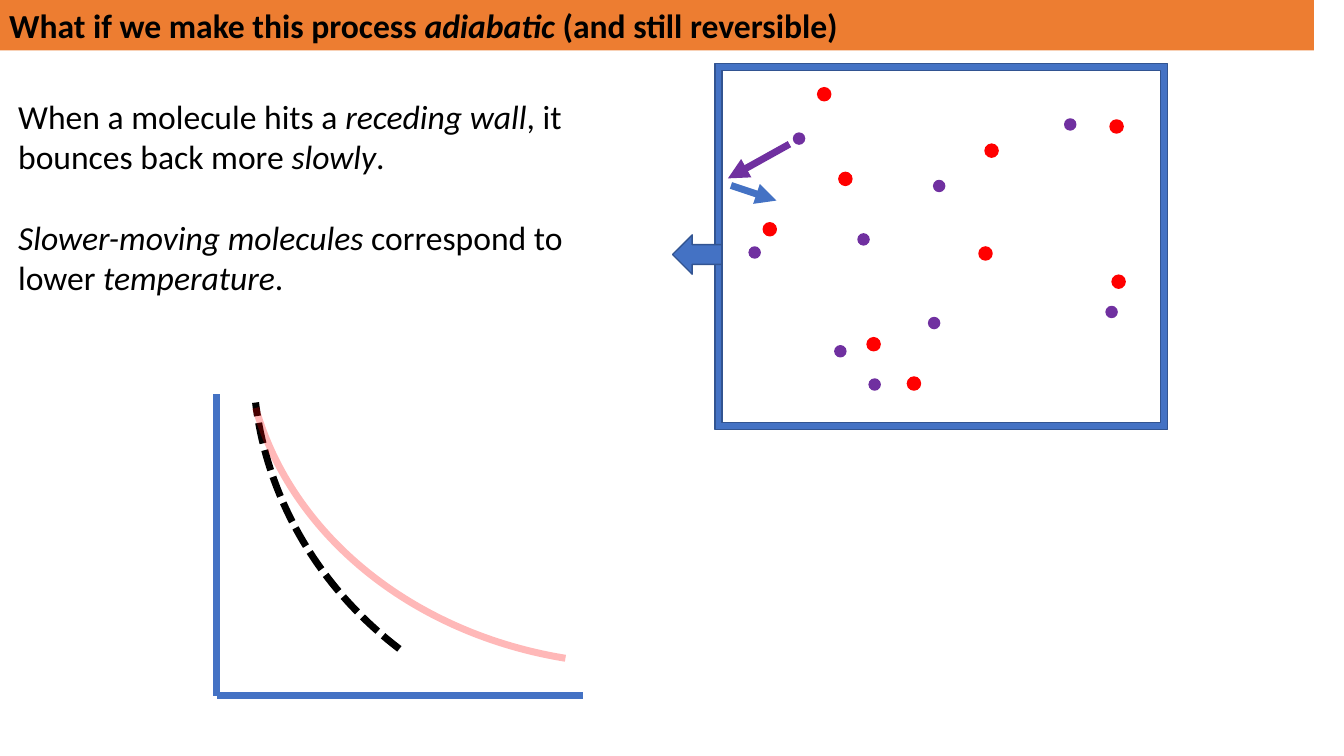
from lxml import etree
from pptx import Presentation
from pptx.dml.color import RGBColor
from pptx.enum.dml import MSO_LINE
from pptx.enum.shapes import MSO_CONNECTOR, MSO_SHAPE
from pptx.enum.text import MSO_ANCHOR, MSO_AUTO_SIZE, PP_ALIGN
from pptx.oxml.ns import qn
from pptx.util import Inches, Pt

STRAIGHT = MSO_CONNECTOR.STRAIGHT
ARC, ELLIPSE = MSO_SHAPE.ARC, MSO_SHAPE.OVAL
FRAME, LEFT_ARROW = MSO_SHAPE.FRAME, MSO_SHAPE.LEFT_ARROW
SHORT_DASH = MSO_LINE.SQUARE_DOT
TOP, LEFT, NO_AUTOFIT = MSO_ANCHOR.TOP, PP_ALIGN.LEFT, MSO_AUTO_SIZE.NONE

BLUE, DARK_BLUE, ORANGE = "4472C4", "325491", "ED7D31"
PURPLE, RED, BLACK = "7030A0", "FF0000", "000000"
FONT = "Calibri"

PURPLE_MOLECULES = [(0.78, 0.69), (1.19, 2.8), (2.17, 1.16), (1.42, 1.69), (3.47, 0.55),
                    (2.12, 2.52), (0.34, 1.82), (3.88, 2.41), (1.53, 3.13)]
RED_MOLECULES = [(1.02, 0.24), (1.51, 2.72), (2.68, 0.8), (1.23, 1.08), (3.92, 0.56),
                 (2.62, 1.82), (0.48, 1.58), (3.94, 2.1), (1.91, 3.11)]


def color(hex_code):
    return RGBColor.from_string(hex_code)


def place(part, left, top, width, height):
    part.left, part.top = Inches(left), Inches(top)
    part.width, part.height = Inches(width), Inches(height)


def write(placeholder, paragraphs, size=24, bold=False, gap=0):
    frame = placeholder.text_frame
    frame.word_wrap = True
    frame.auto_size = NO_AUTOFIT
    frame.vertical_anchor = TOP
    for index, phrases in enumerate(paragraphs):
        paragraph = frame.paragraphs[0] if index == 0 else frame.add_paragraph()
        properties = paragraph._p.get_or_add_pPr()
        properties.set("marL", "0")
        properties.set("indent", "0")
        etree.SubElement(properties, qn("a:buNone"))
        paragraph.alignment = LEFT
        paragraph.space_before = Pt(gap if index else 0)
        for text, italic in phrases:
            run = paragraph.add_run()
            run.text = text
            run.font.name, run.font.size = FONT, Pt(size)
            run.font.bold, run.font.italic = bold, italic
            run.font.color.rgb = color(BLACK)


def draw_shape(slide, kind, box, fill=None, line=BLACK, weight=1, adjustments=()):
    shape = slide.shapes.add_shape(kind, *map(Inches, box))
    shape.shadow.inherit = False
    if fill:
        shape.fill.solid()
        shape.fill.fore_color.rgb = color(fill)
    else:
        shape.fill.background()
    shape.line.color.rgb = color(line)
    shape.line.width = Pt(weight)
    for index, value in enumerate(adjustments):
        shape.adjustments[index] = value
    return shape


def draw_line(slide, start, end, line, arrow=False):
    connector = slide.shapes.add_connector(STRAIGHT, *map(Inches, (*start, *end)))
    connector.line.color.rgb = color(line)
    connector.line.width = Pt(5)
    if arrow:
        etree.SubElement(connector.line._get_or_add_ln(), qn("a:tailEnd"), type="triangle")
    etree.SubElement(connector._element.spPr, qn("a:effectLst"))


def add_title(slide, box):
    title = slide.shapes.title
    place(title, *box)
    title.fill.solid()
    title.fill.fore_color.rgb = color(ORANGE)
    write(title, [[("What if we make this process ", False), ("adiabatic", True),
                   (" (and still reversible)", False)]], bold=True)


def add_explanation(slide, box):
    body = slide.placeholders[1]
    place(body, *box)
    write(body, [
        [("When a molecule hits a ", False), ("receding wall", True),
         (", it bounces back more ", False), ("slowly", True), (".", False)],
        [("Slower-moving molecules", True), (" correspond to lower ", False),
         ("temperature", True), (".", False)],
    ], gap=29)


def add_gas_container(slide, box):
    left, top, width, height = box
    draw_shape(slide, FRAME, box, BLUE, DARK_BLUE, adjustments=[0.019])
    for molecules, size, hue in ((PURPLE_MOLECULES, 0.11, PURPLE), (RED_MOLECULES, 0.13, RED)):
        for x, y in molecules:
            draw_shape(slide, ELLIPSE, (left + x, top + y, size, size), hue, hue)
    draw_line(slide, (left + 0.74, top + 0.8), (left + 0.13, top + 1.14), PURPLE, arrow=True)
    draw_line(slide, (left + 0.16, top + 1.21), (left + 0.61, top + 1.36), BLUE, arrow=True)
    draw_shape(slide, LEFT_ARROW, (left - 0.42, top + 1.7, 0.49, 0.39), BLUE, DARK_BLUE)


def add_pressure_graph(slide, box):
    left, top, width, height = box
    bottom = top + height
    adiabat = draw_shape(slide, ARC, (left + 0.36, top - 4.02, 7.84, 7.37),
                         weight=5, adjustments=[78.462, 104.318])
    adiabat.line.dash_style = SHORT_DASH
    draw_line(slide, (left, top), (left, bottom), BLUE)
    draw_line(slide, (left + width, bottom), (left, bottom), BLUE)
    isotherm = draw_shape(slide, ARC, (left + 0.28, top - 3.94, 7.84, 6.62),
                          line=RED, weight=5, adjustments=[61.712, 101.174])
    hue = isotherm._element.spPr.find(qn("a:ln")).find(".//" + qn("a:srgbClr"))
    etree.SubElement(hue, qn("a:alpha"), val="28000")


def main():
    deck = Presentation()
    deck.slide_width, deck.slide_height = Inches(13.33), Inches(7.5)
    slide = deck.slides.add_slide(deck.slide_layouts[1])
    add_title(slide, (-0.01, 0, 13.04, 0.5))
    add_explanation(slide, (0.08, 0.9, 6.42, 2.12))
    add_gas_container(slide, (7.09, 0.63, 4.49, 3.63))
    add_pressure_graph(slide, (2.15, 3.91, 3.63, 2.99))
    deck.save("out.pptx")


if __name__ == "__main__":
    main()
